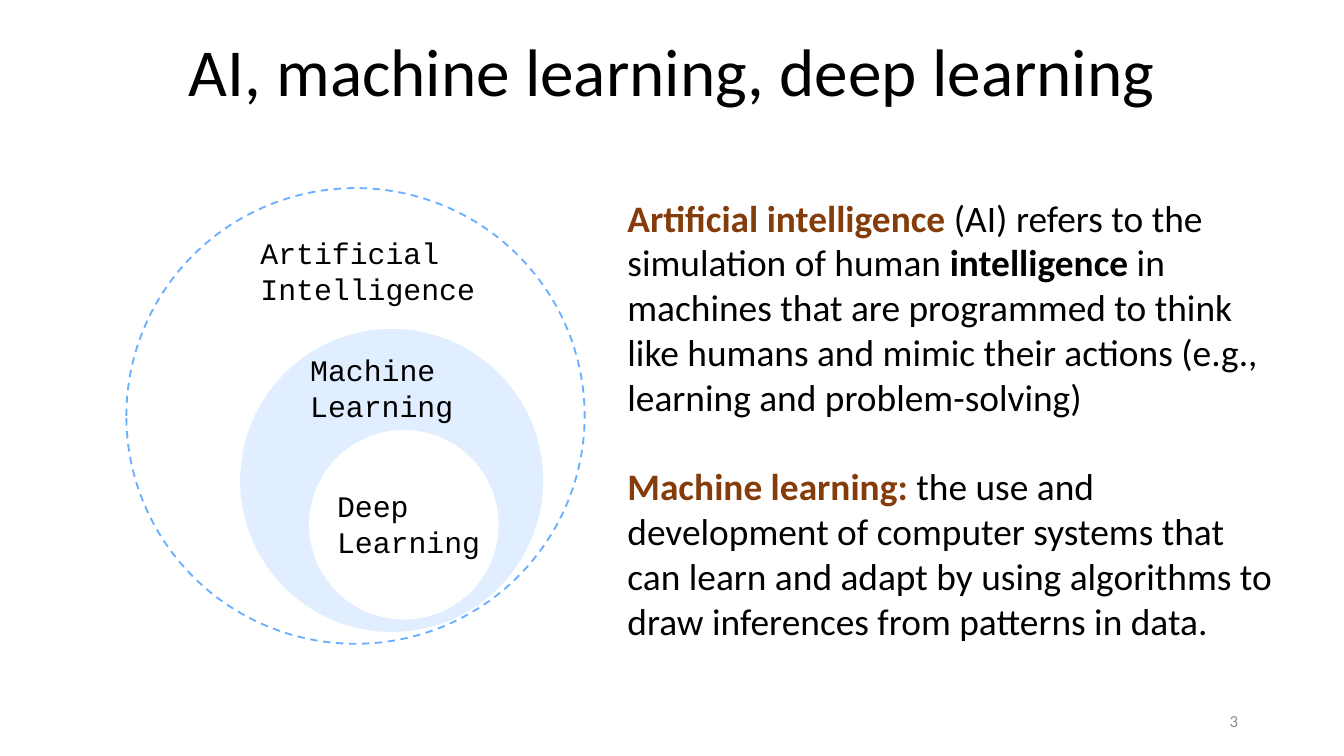
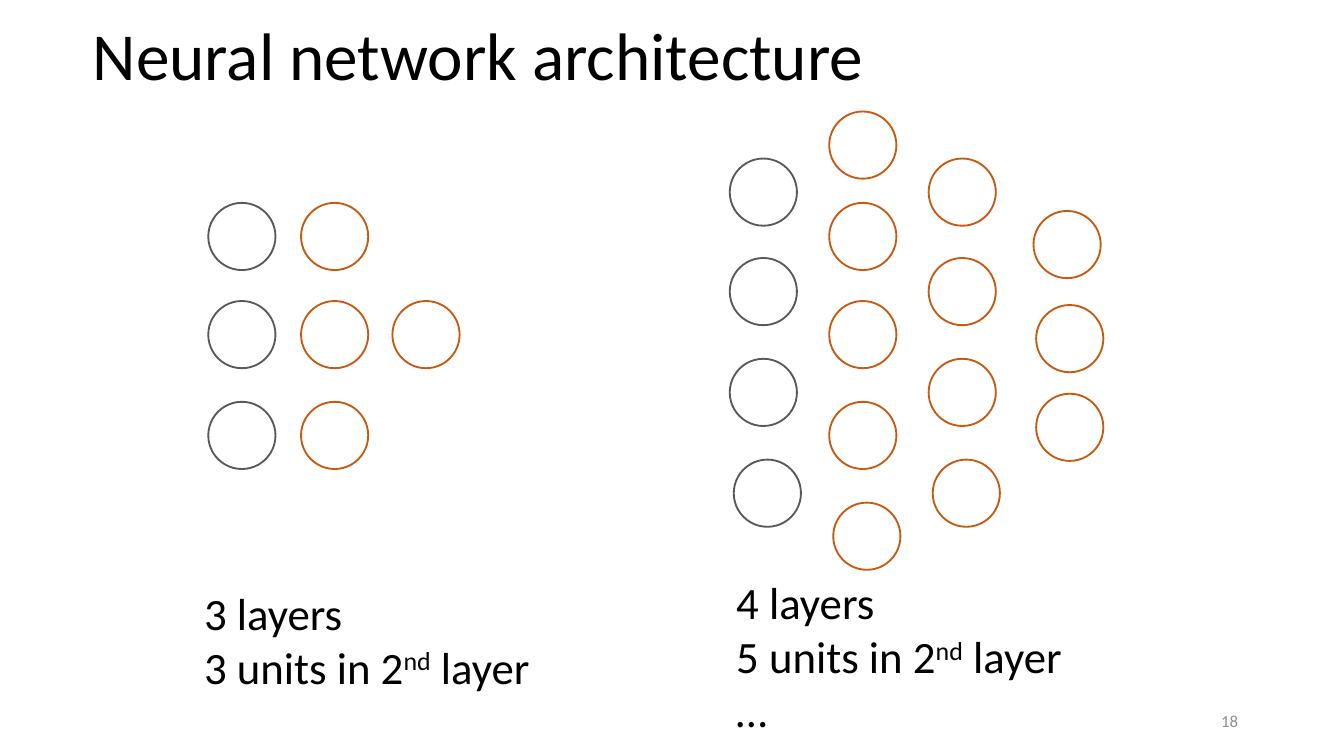
from pptx import Presentation
from pptx import util as u
from pptx.dml.color import RGBColor
from pptx.enum import dml, shapes, text

BLACK, WHITE, BROWN, NUMBER_GRAY = "000000", "FFFFFF", "843C0B", "8C8C8C"
INPUT_GRAY, UNIT_ORANGE = "595959", "C55A11"
PALE_BLUE, DASH_BLUE = "E1EEFF", "6AB0FF"
BODY_FONT, LABEL_FONT = "Calibri", "Courier New"
UNIT = 0.5


def rgb(value):
    return RGBColor.from_string(value)


def place(sp, left, top, width, height):
    sp.left, sp.top = u.Inches(left), u.Inches(top)
    sp.width, sp.height = u.Inches(width), u.Inches(height)


def style(font, size, color=BLACK, name=BODY_FONT):
    font.size, font.name = u.Pt(size), name
    font.color.rgb = rgb(color)


def add_text(s, box, paragraphs, size, color=BLACK, name=BODY_FONT, wrap=True):
    sp = s.shapes.add_textbox(*map(u.Inches, box))
    tf = sp.text_frame
    tf.word_wrap = wrap
    for i, runs in enumerate(paragraphs):
        p = tf.paragraphs[0] if i == 0 else tf.add_paragraph()
        style(p.font, size, color, name)
        for content, kind in runs:
            r = p.add_run()
            r.text = content
            if kind in ("term", "bold"):
                r.font.bold = True
            if kind == "term":
                r.font.color.rgb = rgb(BROWN)
            if kind == "super":
                r.font._element.set("baseline", "30000")
    return tf


def add_circle(s, box, fill=None, line=None, dash=None):
    sp = s.shapes.add_shape(shapes.MSO_SHAPE.OVAL, *map(u.Inches, box))
    sp.shadow.inherit = False
    if fill:
        sp.fill.solid()
        sp.fill.fore_color.rgb = rgb(fill)
    else:
        sp.fill.background()
    if line:
        sp.line.color.rgb = rgb(line)
        sp.line.width = u.Pt(1)
        if dash:
            sp.line.dash_style = dash
    else:
        sp.line.fill.background()


def add_slide(prs, title, title_box, align, number):
    s = prs.slides.add_slide(prs.slide_layouts[5])
    place(s.shapes.title, *title_box)
    tf = s.shapes.title.text_frame
    tf.text = title
    tf.vertical_anchor = text.MSO_ANCHOR.MIDDLE
    p = tf.paragraphs[0]
    p.alignment, p.line_spacing = align, 0.9
    style(p.font, 36)
    tf = add_text(s, (7.06, 5.21, 2.25, 0.3), [[(number, None)]], 9, NUMBER_GRAY)
    tf.vertical_anchor = text.MSO_ANCHOR.MIDDLE
    tf.paragraphs[0].alignment = text.PP_ALIGN.RIGHT
    return s


def nested_circles(s, x, y):
    add_circle(s, (x + 0.84, y + 1.04, 2.27, 2.27), PALE_BLUE, WHITE)
    add_circle(s, (x + 1.36, y + 1.8, 1.41, 1.41), WHITE)
    add_circle(s, (x, y, 3.41, 3.39), line=DASH_BLUE, dash=dml.MSO_LINE.DASH)
    labels = [
        (0.9, 0.3, 1.94, "Artificial", "Intelligence"),
        (1.27, 1.17, 1.39, "Machine", "Learning"),
        (1.47, 2.18, 1.39, "Deep", "Learning"),
    ]
    for dx, dy, width, *words in labels:
        add_text(s, (x + dx, y + dy, width, 0.64),
                 [[(word, None)] for word in words], 16, name=LABEL_FONT)


def definitions(s, box):
    tf = add_text(s, box, [
        [("Artificial intelligence ", "term"),
         ("(AI) refers to the simulation of human ", None),
         ("intelligence", "bold"),
         (" in machines that are programmed to think like humans and mimic "
          "their actions (e.g., learning and problem-solving)", None)],
        [("Machine learning: ", "term"),
         ("the use and development of computer systems that can learn and "
          "adapt by using algorithms to draw inferences from patterns in data.",
          None)],
    ], 20)
    tf.paragraphs[1].space_before = u.Pt(24)


def network(s, x, y, layers):
    for i, layer in enumerate(layers):
        color = UNIT_ORANGE if i else INPUT_GRAY
        for dx, tops in layer.items():
            for dy in tops:
                add_circle(s, (x + dx, y + dy, UNIT, UNIT), line=color)


def caption(s, box, layers, units, *more):
    add_text(s, box, [
        [(f"{layers} layers", None)],
        [(f"{units} units in 2", None), ("nd", "super"), (" layer", None)],
        *[[(line, None)] for line in more],
    ], 24, wrap=False)


def ai_slide(prs):
    s = add_slide(prs, "AI, machine learning, deep learning",
                  (0.69, 0.21, 8.62, 0.7), text.PP_ALIGN.CENTER, "3")
    nested_circles(s, 0.94, 1.4)
    definitions(s, (4.57, 1.4, 5.06, 3.47))


def architecture_slide(prs):
    s = add_slide(prs, "Neural network architecture",
                  (0.59, 0.04, 8.62, 0.79), text.PP_ALIGN.LEFT, "18")
    three = (0, 0.73, 1.48)
    network(s, 1.55, 1.51, [{0: three}, {0.69: three}, {1.37: three[1:2]}])
    upper = (0.35, 1.09, 1.84)
    network(s, 5.43, 0.83, [
        {0: upper, 0.03: [2.59]},
        {0.74: (0, 0.68, 1.41, 2.16), 0.77: [2.91]},
        {1.48: upper, 1.51: [2.59]},
        {2.26: [0.74], 2.28: (1.44, 2.1)},
    ])
    caption(s, (1.42, 4.31, 2.64, 0.91), 3, 3)
    caption(s, (5.38, 4.23, 2.64, 1.31), 4, 5, "…")


def main():
    prs = Presentation()
    prs.slide_width = u.Inches(10)
    prs.slide_height = prs.slide_width * 9 // 16
    ai_slide(prs)
    architecture_slide(prs)
    prs.save("out.pptx")


if __name__ == "__main__":
    main()
